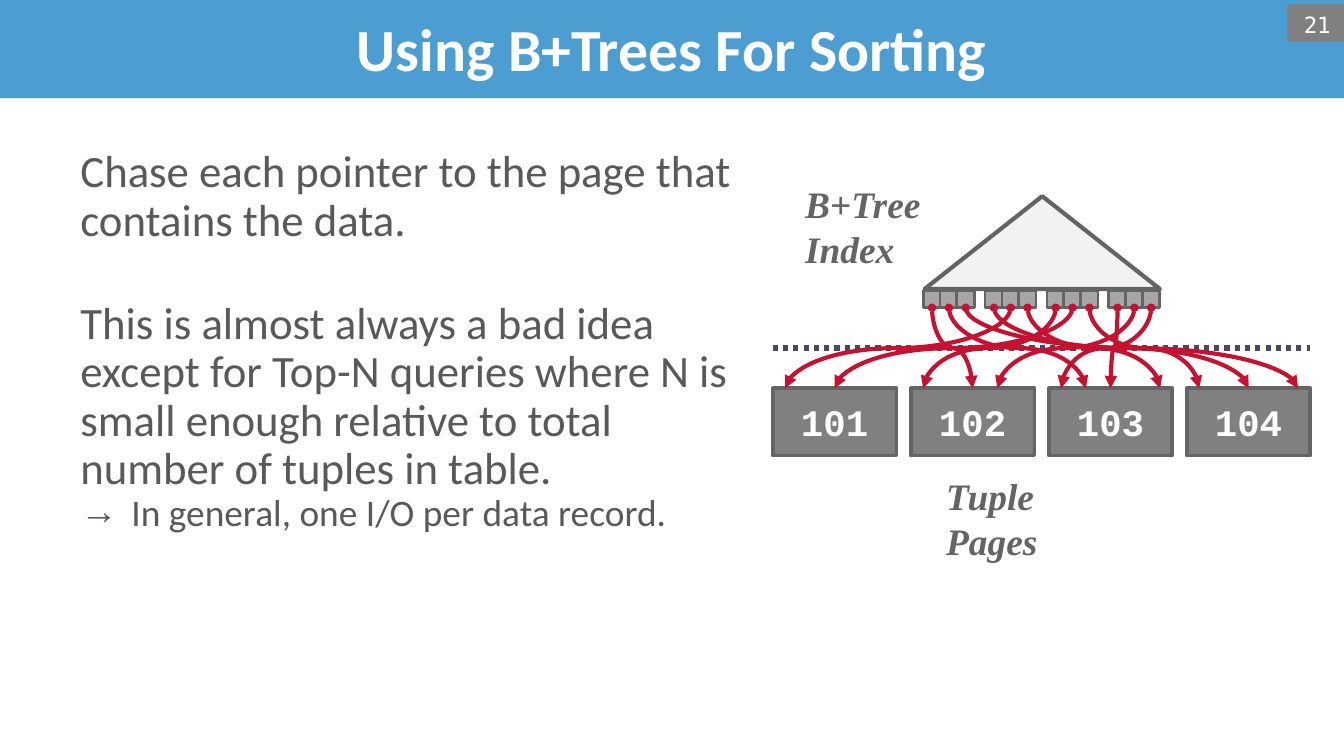
"""Slide on sorting tuples by following pointers from a B+Tree index."""
import pptx
import pptx.dml.color
import pptx.enum.dml
import pptx.enum.shapes
import pptx.enum.text
import pptx.oxml
import pptx.util

Inches = pptx.util.Inches
Pt = pptx.util.Pt
SHAPE = pptx.enum.shapes.MSO_SHAPE
CONNECTOR = pptx.enum.shapes.MSO_CONNECTOR
ALIGN = pptx.enum.text.PP_ALIGN
ANCHOR = pptx.enum.text.MSO_ANCHOR

COLORS = {"banner": "4C9DD2", "white": "FFFFFF", "gray": "808080", "text": "595959",
          "outline": "646464", "tree": "F2F2F2", "leaf": "A6A6A6",
          "divider": "474866", "pointer": "C41230"}
TITLE = "Using B+Trees For Sorting"
SLIDE_NUMBER = "21"
BODY = [
    ("Chase each pointer to the page that contains the data.", 24, 0, None),
    ("This is almost always a bad idea except for Top-N queries where N is small "
     "enough relative to total number of tuples in table.", 24, 29.5, None),
    ("In general, one I/O per data record.", 20, 0, "→"),
]
LABELS = [("Tuple Pages", 6.97, 3.48, 1.4), ("B+Tree Index", 5.92, 1.31, 1.59)]
PAGES = ["101", "102", "103", "104"]
POINTERS = [(1, 2), (2, 1), (3, 4), (3, 2), (0, 0), (2, 4),
            (1, 0), (0, 2), (3, 0), (2, 2), (1, 3), (2, 0)]

SLIDE_WIDTH = 10
SLIDE_HEIGHT = SLIDE_WIDTH * 9 / 16
KEYS_PER_LEAF, LEAF_LEFT, LEAF_TOP = 3, 6.87, 2.16
LEAF_PITCH, KEY_PITCH, KEY_SIZE = 0.46, 0.125, 0.13
PAGES_LEFT, PAGES_RIGHT, PAGE_TOP = 5.75, 9.75, 2.89
PAGE_WIDTH, PAGE_HEIGHT, SLOTS = 0.92, 0.5, 5
PAGE_PITCH = (PAGES_RIGHT - PAGES_LEFT - PAGE_WIDTH) / (len(PAGES) - 1)
DIVIDER_Y = 2.59


def rgb(name):
    return pptx.dml.color.RGBColor.from_string(COLORS[name])


def xml(tag, **attrs):
    e = pptx.oxml.parse_xml(
        f'<a:{tag} xmlns:a="http://schemas.openxmlformats.org/drawingml/2006/main"/>')
    for key, value in attrs.items():
        e.set(key, value)
    return e


def write(tf, text, size=20, font="Calibri", color="white", bold=False, italic=False,
          align=ALIGN.LEFT, before=0, spacing=None, bullet=None, new=False):
    p = tf.add_paragraph() if new else tf.paragraphs[0]
    p.alignment = align
    p.space_before = Pt(before)
    if spacing:
        p.line_spacing = spacing
    if bullet:
        pPr = p._p.get_or_add_pPr()
        pPr.set("marL", str(Inches(0.38)))
        pPr.set("indent", str(-Inches(0.38)))
        pPr.append(xml("buFont", typeface="Times New Roman"))
        pPr.append(xml("buChar", char=bullet))
    r = p.add_run()
    r.text = text
    r.font.size, r.font.name = Pt(size), font
    r.font.bold, r.font.italic = bold, italic
    r.font.color.rgb = rgb(color)


def set_frame(tf, x=0.1, y=0.05, anchor=ANCHOR.TOP):
    tf.word_wrap = True
    tf.auto_size = pptx.enum.text.MSO_AUTO_SIZE.NONE
    tf.margin_left = tf.margin_right = Inches(x)
    tf.margin_top = tf.margin_bottom = Inches(y)
    tf.vertical_anchor = anchor
    return tf


def add_box(s, kind, left, top, width, height, fill, line=None):
    sp = s.shapes.add_shape(kind, Inches(left), Inches(top), Inches(width), Inches(height))
    sp.shadow.inherit = False
    sp.fill.solid()
    sp.fill.fore_color.rgb = rgb(fill)
    if line:
        sp.line.color.rgb = rgb("outline")
        sp.line.width = Pt(line)
    else:
        sp.line.fill.background()
    return sp


def add_text(s, left, top, width, height, **frame):
    box = s.shapes.add_textbox(Inches(left), Inches(top), Inches(width), Inches(height))
    return set_frame(box.text_frame, **frame)


def add_line(s, kind, x1, y1, x2, y2, color, width):
    c = s.shapes.add_connector(kind, Inches(x1), Inches(y1), Inches(x2), Inches(y2))
    c.line.color.rgb = rgb(color)
    c.line.width = Pt(width)
    c._element.spPr.append(xml("effectLst"))
    return c


def add_pointer(s, x1, y1, x2, y2):
    cx, cy = (x1 + x2) / 2, (y1 + y2) / 2
    half_drop, half_run = (y2 - y1) / 2, abs(x2 - x1) / 2
    side = 1 if x2 > x1 else -1
    c = add_line(s, CONNECTOR.CURVE, cx + side * half_drop, cy - half_run,
                 cx - side * half_drop, cy + half_run, "pointer", 2.25)
    c._element.spPr.xfrm.set("rot", str((270 if side > 0 else 90) * 60000))
    ln = c.line._get_or_add_ln()
    ln.append(xml("headEnd", type="oval", w="sm", len="sm"))
    ln.append(xml("tailEnd", type="triangle"))


def main():
    prs = pptx.Presentation()
    prs.slide_width, prs.slide_height = Inches(SLIDE_WIDTH), Inches(SLIDE_HEIGHT)
    s = prs.slides.add_slide(prs.slide_layouts[5])

    title = s.shapes.title
    title.left, title.top = Inches(0), Inches(-0.02)
    title.width, title.height = Inches(SLIDE_WIDTH), Inches(0.75)
    title.fill.solid()
    title.fill.fore_color.rgb = rgb("banner")
    write(set_frame(title.text_frame, x=0, anchor=ANCHOR.MIDDLE), TITLE,
          size=32, bold=True, align=ALIGN.CENTER)

    number = add_box(s, SHAPE.RECTANGLE, 9.58, 0.03, 0.42, 0.28, "gray")
    write(set_frame(number.text_frame), SLIDE_NUMBER, size=12,
          font="DejaVu Sans Mono", align=ALIGN.RIGHT)

    tf = add_text(s, 0.5, 1.06, 5.2, 4)
    for i, (text, size, before, bullet) in enumerate(BODY):
        write(tf, text, size=size, color="text", before=before, spacing=0.9,
              bullet=bullet, new=i > 0)

    add_box(s, SHAPE.ISOSCELES_TRIANGLE, 6.88, 1.46, 1.75, 0.69, "tree", 2.25)
    keys = []
    for i in range(len(POINTERS)):
        leaf, key = divmod(i, KEYS_PER_LEAF)
        left = LEAF_LEFT + leaf * LEAF_PITCH + key * KEY_PITCH
        add_box(s, SHAPE.RECTANGLE, left, LEAF_TOP, KEY_SIZE, KEY_SIZE, "leaf", 1.5)
        keys.append(left + KEY_SIZE / 2)

    divider = add_line(s, CONNECTOR.STRAIGHT, PAGES_LEFT, DIVIDER_Y,
                       PAGES_RIGHT, DIVIDER_Y, "divider", 2.75)
    divider.line.dash_style = pptx.enum.dml.MSO_LINE.ROUND_DOT

    for i, page in enumerate(PAGES):
        sp = add_box(s, SHAPE.RECTANGLE, PAGES_LEFT + i * PAGE_PITCH, PAGE_TOP,
                     PAGE_WIDTH, PAGE_HEIGHT, "gray", 2)
        write(set_frame(sp.text_frame, x=0.05, anchor=ANCHOR.MIDDLE), page,
              font="Courier New", bold=True, align=ALIGN.CENTER)

    for x, (page, slot) in zip(keys, POINTERS):
        target = PAGES_LEFT + page * PAGE_PITCH + (slot + 0.5) * PAGE_WIDTH / SLOTS
        add_pointer(s, x, LEAF_TOP + KEY_SIZE, target, PAGE_TOP)

    for text, left, top, width in LABELS:
        write(add_text(s, left, top, width, 0.41, x=0.07, y=0.04), text,
              font="Times New Roman", color="outline", bold=True, italic=True)

    prs.save("out.pptx")


if __name__ == "__main__":
    main()
